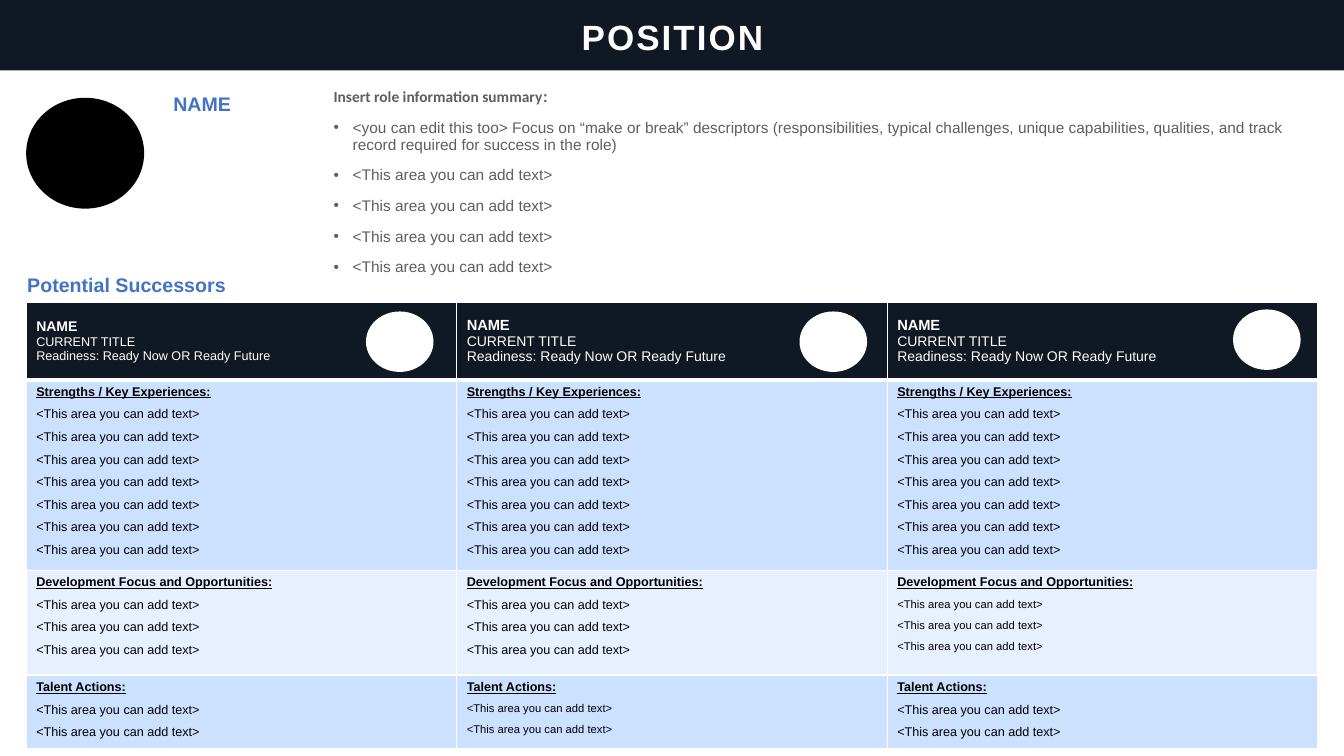
"""Builds a one-slide succession plan for a position."""
from lxml import etree
from pptx import Presentation, util as u
from pptx.dml.color import RGBColor
from pptx.enum import shapes, text
from pptx.oxml import ns

WIDTH, HEIGHT = 13.33, 7.5
NAVY, BLUE, GREY, WHITE, BLACK = "101823", "4472C4", "5E5E5E", "FFFFFF", "000000"
DEEP, PALE = "CCE0FF", "E7F0FF"

FILLER = "<This area you can add text>"
ROLE_POINTS = [
    "<you can edit this too> Focus on “make or break” descriptors (responsibilities, typical challenges, "
    "unique capabilities, qualities, and track record required for success in the role)",
] + [FILLER] * 4
CANDIDATE = ("NAME", "CURRENT TITLE", "Readiness: Ready Now OR Ready Future")
CANDIDATE_SIZES = [(10, 9, 9), (10.5, 10, 10), (10.5, 10, 10)]
SECTIONS = [
    ("Strengths / Key Experiences:", 7, DEEP, (9, 9, 9)),
    ("Development Focus and Opportunities:", 3, PALE, (9, 9, 8)),
    ("Talent Actions:", 2, DEEP, (9, 8, 9)),
]
ROW_HEIGHTS = [0.77, 1.88, 1.04, 0.73]
GRID_LEFT, GRID_TOP, COLUMN = 0.26, 3, 4.27
PORTRAIT_LEFT, PORTRAIT_STEP, PORTRAIT_TOPS = 3.63, 4.3, (3.09, 3.09, 3.07)


def colour(code):
    """Turn a hex string into a colour."""
    return RGBColor.from_string(code)


def box(left, top, width, height):
    """Turn inches into a tuple of lengths."""
    return [u.Inches(n) for n in (left, top, width, height)]


def write(frame, words, first=False, size=11, font="Arial", ink=BLACK, bold=False, underline=False,
          before=None, after=None, spacing=None, bullet=False, tracking=None, align=None):
    """Add a formatted paragraph to a text frame and return it."""
    line = frame.paragraphs[0] if first else frame.add_paragraph()
    if bullet:
        props = line._p.get_or_add_pPr()
        props.set("marL", str(u.Inches(0.19)))
        props.set("indent", str(-u.Inches(0.19)))
        etree.SubElement(props, ns.qn("a:buFont"), typeface="Arial")
        etree.SubElement(props, ns.qn("a:buChar"), char="•")
    if before is not None:
        line.space_before = u.Pt(before)
    if after is not None:
        line.space_after = u.Pt(after)
    if spacing:
        line.line_spacing = spacing
    if align is not None:
        line.alignment = align
    style_run(line, words, size, font, ink, bold, underline, tracking)
    return line


def style_run(line, words, size, font, ink, bold, underline=False, tracking=None):
    """Add one formatted run to a paragraph."""
    run = line.add_run()
    run.text = words
    run.font.size, run.font.name = u.Pt(size), font
    run.font.bold, run.font.underline = bold, underline
    run.font.color.rgb = colour(ink)
    if tracking:
        run.font._element.set("spc", str(int(tracking * 100)))


def draw(slide, kind, place, fill):
    """Add a plain filled shape."""
    figure = slide.shapes.add_shape(kind, *box(*place))
    figure.shadow.inherit = False
    figure.fill.solid()
    figure.fill.fore_color.rgb = colour(fill)
    figure.line.fill.background()
    return figure


def text_box(slide, place):
    """Add a wrapping text box and return its frame."""
    frame = slide.shapes.add_textbox(*box(*place)).text_frame
    frame.word_wrap = True
    return frame


def plain_table(slide, place, heights, columns):
    """Add a table without header or banding."""
    table = slide.shapes.add_table(len(heights), columns, *box(*place)).table
    table.first_row = table.horz_banding = False
    for row, height in zip(table.rows, heights):
        row.height = u.Inches(height)
    return table


def finish_cell(cell, fill=None, bottom=1):
    """Set a cell's borders and fill; without a fill both are off."""
    props = cell._tc.get_or_add_tcPr()
    for side in "LRTB":
        weight = bottom if side == "B" else 1
        edge = etree.SubElement(props, ns.qn("a:ln" + side), w=str(u.Pt(weight)))
        if fill:
            solid = etree.SubElement(edge, ns.qn("a:solidFill"))
            etree.SubElement(solid, ns.qn("a:srgbClr"), val=WHITE)
        else:
            etree.SubElement(edge, ns.qn("a:noFill"))
    if fill:
        cell.fill.solid()
        cell.fill.fore_color.rgb = colour(fill)
    else:
        cell.fill.background()


def add_heading(slide):
    """Format the title and put the dark band behind it."""
    title = slide.shapes.title
    title.left, title.top, title.width, title.height = box(0.39, 0.16, 12.56, 0.4)
    frame = title.text_frame
    frame.auto_size = text.MSO_AUTO_SIZE.NONE
    frame.vertical_anchor = text.MSO_ANCHOR.MIDDLE
    write(frame, "POSITION", first=True, size=25, ink=WHITE, bold=True, tracking=1.5,
          align=text.PP_ALIGN.CENTER)
    band = draw(slide, shapes.MSO_SHAPE.RECTANGLE, (0, 0, WIDTH, 0.7), NAVY)
    title.element.addprevious(band.element)


def add_role(slide):
    """Add the role summary and the holder's name and portrait."""
    summary = text_box(slide, (3.21, 0.84, 9.86, 1.97))
    lead = write(summary, "Insert role information summary", first=True, font="Calibri", ink=GREY,
                 bold=True, spacing=0.9)
    style_run(lead, ":", 11, "Arial", GREY, True)
    for point in ROLE_POINTS:
        write(summary, point, ink=GREY, before=10, spacing=0.9, bullet=True)
    holder = text_box(slide, (1.62, 0.86, 1.82, 0.34))
    write(holder, "NAME", first=True, size=14, ink=BLUE, bold=True)
    draw(slide, shapes.MSO_SHAPE.OVAL, (0.26, 0.97, 1.17, 1.1), BLACK)


def add_successors(slide):
    """Add the successor grid, its heading and the portraits."""
    count = len(CANDIDATE_SIZES)
    grid = plain_table(slide, (GRID_LEFT, GRID_TOP, COLUMN * count, sum(ROW_HEIGHTS)), ROW_HEIGHTS, count)
    for column, sizes in enumerate(CANDIDATE_SIZES):
        header = grid.cell(0, column)
        header.vertical_anchor = text.MSO_ANCHOR.MIDDLE
        for i, (words, size) in enumerate(zip(CANDIDATE, sizes)):
            write(header.text_frame, words, first=i == 0, size=size, ink=WHITE, bold=i == 0)
        finish_cell(header, NAVY, bottom=3)
        for row, (label, lines, fill, body_sizes) in enumerate(SECTIONS, 1):
            cell = grid.cell(row, column)
            write(cell.text_frame, label, first=True, size=9, bold=True, underline=True, after=6)
            for _ in range(lines):
                write(cell.text_frame, FILLER, size=body_sizes[column], after=6)
            finish_cell(cell, fill)
    label = plain_table(slide, (0.17, 2.68, 4.41, 0.35), [0.35], 1).cell(0, 0)
    write(label.text_frame, "Potential Successors", first=True, size=14, ink=BLUE, bold=True)
    finish_cell(label)
    for column, top in enumerate(PORTRAIT_TOPS):
        left = PORTRAIT_LEFT + column * PORTRAIT_STEP
        draw(slide, shapes.MSO_SHAPE.OVAL, (left, top, 0.67, 0.6), WHITE)


def main():
    """Build and save the slide."""
    deck = Presentation()
    deck.slide_width, deck.slide_height = u.Inches(WIDTH), u.Inches(HEIGHT)
    slide = deck.slides.add_slide(deck.slide_layouts.get_by_name("Title Only"))
    add_heading(slide)
    add_role(slide)
    add_successors(slide)
    deck.save("out.pptx")


if __name__ == "__main__":
    main()
